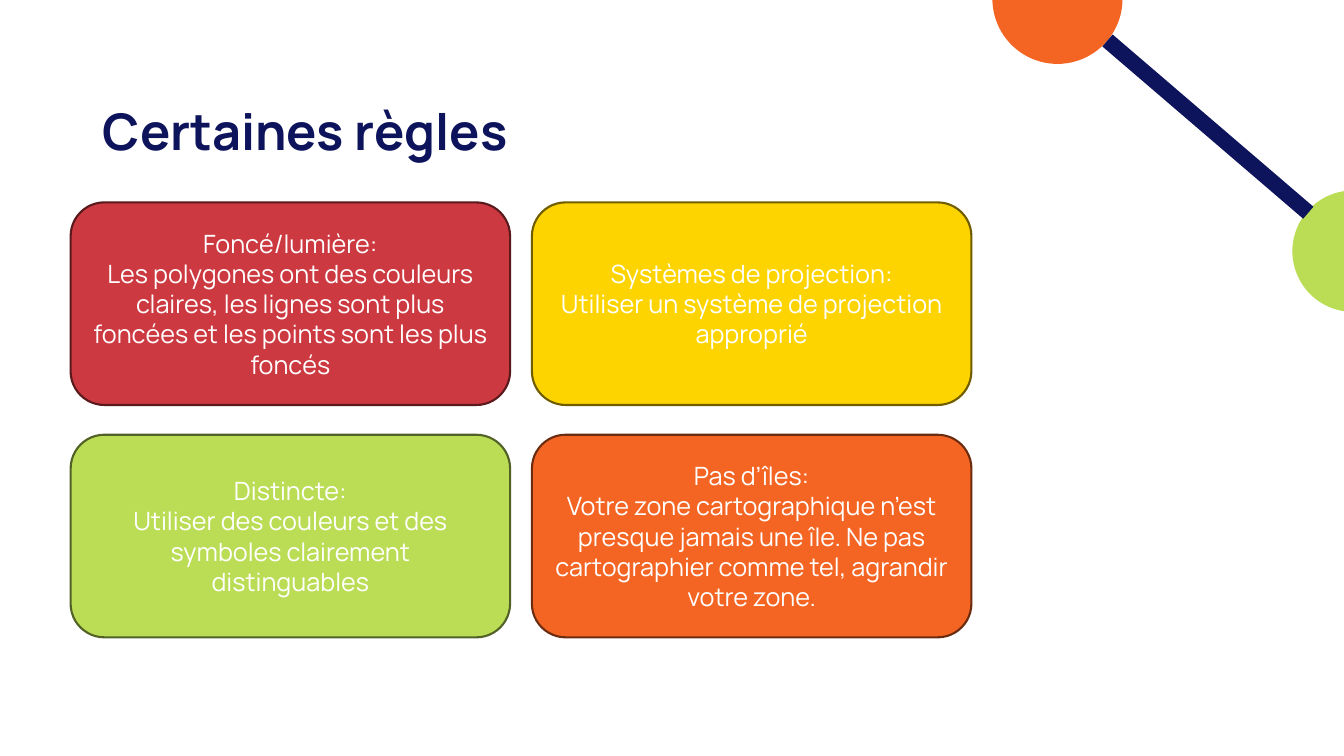
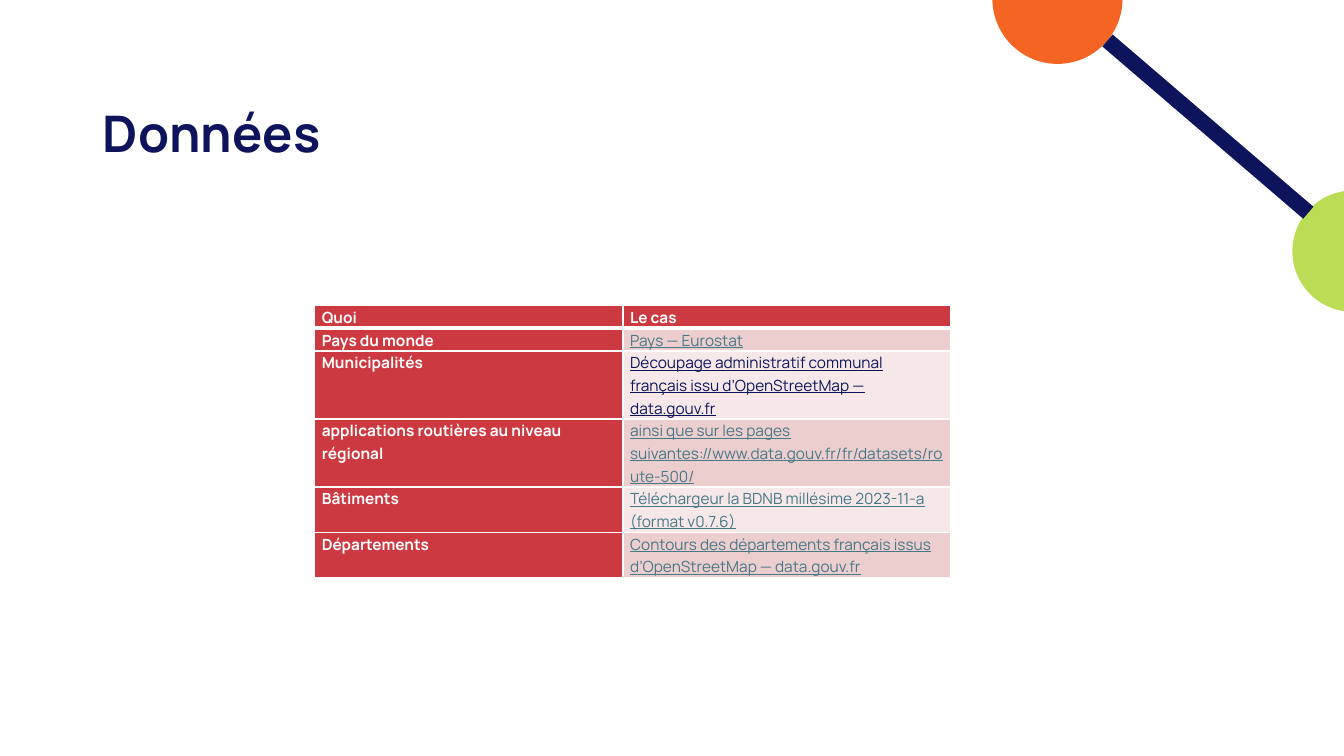
import lxml.etree
import pptx
import pptx.dml.color
import pptx.enum.shapes
import pptx.enum.text
import pptx.oxml.ns
import pptx.util

Cm = pptx.util.Cm
Pt = pptx.util.Pt
RGBColor = pptx.dml.color.RGBColor
MSO_SHAPE = pptx.enum.shapes.MSO_SHAPE
MSO_ANCHOR = pptx.enum.text.MSO_ANCHOR
PP_ALIGN = pptx.enum.text.PP_ALIGN
qn = pptx.oxml.ns.qn

FONT = "Manrope"
WHITE = RGBColor(0xFF, 0xFF, 0xFF)
NAVY = RGBColor(0x0D, 0x14, 0x5C)
RED = RGBColor(0xCD, 0x39, 0x40)
YELLOW = RGBColor(0xFE, 0xD4, 0x00)
GREEN = RGBColor(0xBB, 0xDD, 0x55)
ORANGE = RGBColor(0xF4, 0x65, 0x23)
DARK_RED = RGBColor(0x5A, 0x19, 0x1C)
DARK_YELLOW = RGBColor(0x6F, 0x5D, 0x00)
DARK_GREEN = RGBColor(0x52, 0x61, 0x25)
DARK_ORANGE = RGBColor(0x6B, 0x2C, 0x0F)
LINK_BLUE = RGBColor(0x46, 0x78, 0x86)
PINK = RGBColor(0xED, 0xCE, 0xCF)
PALE_PINK = RGBColor(0xF6, 0xE8, 0xE8)

TITLE_ONLY = 5
TABLE_LINE = Cm(0.56)

RULES = [
    ("Foncé/lumière:",
     "Les polygones ont des couleurs claires, les lignes sont plus foncées "
     "et les points sont les plus foncés", RED, DARK_RED),
    ("Systèmes de projection:",
     "Utiliser un système de projection approprié", YELLOW, DARK_YELLOW),
    ("Distincte:",
     "Utiliser des couleurs et des symboles clairement distinguables",
     GREEN, DARK_GREEN),
    ("Pas d’îles:",
     "Votre zone cartographique n’est presque jamais une île. Ne pas "
     "cartographier comme tel, agrandir votre zone.", ORANGE, DARK_ORANGE),
]

# Topic, source, colour of the source, number of text lines
DATA_ROWS = [
    ("Quoi", "Le cas", WHITE, 1),
    ("Pays du monde", "Pays — Eurostat", LINK_BLUE, 1),
    ("Municipalités",
     "Découpage administratif communal français issu d’OpenStreetMap — "
     "data.gouv.fr", NAVY, 3),
    ("applications routières au niveau régional",
     "ainsi que sur les pages "
     "suivantes://www.data.gouv.fr/fr/datasets/route-500/", LINK_BLUE, 3),
    ("Bâtiments",
     "Téléchargeur la BDNB millésime 2023-11-a (format v0.7.6)", LINK_BLUE, 2),
    ("Départements",
     "Contours des départements français issus d’OpenStreetMap — "
     "data.gouv.fr", LINK_BLUE, 2),
]


def write_text(frame, lines, *, size, color, bold=False, underline=False,
               align=PP_ALIGN.LEFT, anchor=MSO_ANCHOR.MIDDLE,
               line_spacing=1.0, space_after=0):
    frame.word_wrap = True
    frame.vertical_anchor = anchor
    for index, line in enumerate(lines):
        paragraph = frame.add_paragraph() if index else frame.paragraphs[0]
        paragraph.alignment = align
        paragraph.line_spacing = line_spacing
        paragraph.space_after = Pt(space_after)
        run = paragraph.add_run()
        run.text = line
        run.font.name = FONT
        run.font.size = Pt(size)
        run.font.bold = bold
        run.font.underline = underline
        run.font.color.rgb = color


def add_circle(slide, center_x, center_y, radius, fill):
    circle = slide.shapes.add_shape(
        MSO_SHAPE.OVAL, center_x - radius, center_y - radius,
        2 * radius, 2 * radius)
    circle.shadow.inherit = False
    circle.fill.solid()
    circle.fill.fore_color.rgb = fill
    circle.line.fill.background()


def add_corner_network(slide):
    """Draw the two linked circles of the top right corner."""
    add_circle(slide, Cm(34.1), Cm(6.33), Cm(1.53), GREEN)
    add_circle(slide, Cm(26.65), Cm(-0.03), Cm(1.64), ORANGE)
    link = slide.shapes.add_connector(
        pptx.enum.shapes.MSO_CONNECTOR.STRAIGHT,
        Cm(32.97), Cm(5.36), Cm(27.91), Cm(1.02))
    link.line.color.rgb = NAVY
    link.line.width = Pt(11.25)
    lxml.etree.SubElement(link.element.spPr, qn("a:effectLst"))


def add_titled_slide(presentation, text, title_top):
    slide = presentation.slides.add_slide(
        presentation.slide_layouts[TITLE_ONLY])
    add_corner_network(slide)
    title = slide.shapes.title
    title.left, title.top = Cm(2.34), title_top
    title.width, title.height = Cm(25.98), Cm(1.9)
    title.text_frame.auto_size = pptx.enum.text.MSO_AUTO_SIZE.NONE
    write_text(title.text_frame, [text], size=36, color=NAVY, bold=True)
    return slide


def add_rule_card(slide, left, top, width, height, rule):
    heading, advice, fill, outline = rule
    card = slide.shapes.add_shape(
        MSO_SHAPE.ROUNDED_RECTANGLE, left, top, width, height)
    card.shadow.inherit = False
    card.fill.solid()
    card.fill.fore_color.rgb = fill
    card.line.color.rgb = outline
    card.line.width = Pt(1.5)
    write_text(card.text_frame, [heading, advice], size=18, color=WHITE,
               align=PP_ALIGN.CENTER)


def add_rule_grid(slide, left, top, width, height, columns=2):
    gap_x, gap_y = Cm(0.55), Cm(0.75)
    rows = len(RULES) // columns
    card_width = (width - gap_x * (columns - 1)) // columns
    card_height = (height - gap_y * (rows - 1)) // rows
    for index, rule in enumerate(RULES):
        row, column = divmod(index, columns)
        add_rule_card(slide, left + column * (card_width + gap_x),
                      top + row * (card_height + gap_y),
                      card_width, card_height, rule)


def set_cell_borders(cell, top, bottom):
    """Draw white borders; top and bottom are widths in points."""
    properties = cell._tc.get_or_add_tcPr()
    for side, width in (("L", 1), ("R", 1), ("T", top), ("B", bottom)):
        line = lxml.etree.SubElement(
            properties, qn(f"a:ln{side}"), w=str(Pt(width)))
        fill = lxml.etree.SubElement(line, qn("a:solidFill"))
        lxml.etree.SubElement(fill, qn("a:srgbClr"), val=str(WHITE))


def format_cell(cell, text, row, fill, color, bold, underline):
    cell.margin_left = cell.margin_right = Cm(0.18)
    cell.margin_top = cell.margin_bottom = 0
    set_cell_borders(cell, top=3 if row == 1 else 1,
                     bottom=3 if row == 0 else 1)
    cell.fill.solid()
    cell.fill.fore_color.rgb = fill
    write_text(cell.text_frame, [text], size=11, color=color, bold=bold,
               underline=underline, anchor=MSO_ANCHOR.TOP,
               line_spacing=1.07, space_after=8)


def add_data_table(slide, left, top, column_widths):
    height = TABLE_LINE * sum(lines for *_, lines in DATA_ROWS)
    table = slide.shapes.add_table(
        len(DATA_ROWS), len(column_widths), left, top,
        sum(column_widths), height).table
    for column, width in zip(table.columns, column_widths):
        column.width = width
    for row, (topic, source, source_color, lines) in enumerate(DATA_ROWS):
        table.rows[row].height = TABLE_LINE * lines
        is_header = row == 0
        band = RED if is_header else PINK if row % 2 else PALE_PINK
        format_cell(table.cell(row, 0), topic, row, RED, WHITE,
                    bold=True, underline=False)
        format_cell(table.cell(row, 1), source, row, band, source_color,
                    bold=is_header, underline=not is_header)


def build_rules_slide(presentation):
    slide = add_titled_slide(presentation, "Certaines règles", Cm(2.34))
    add_rule_grid(slide, Cm(1.78), Cm(5.1), Cm(22.7), Cm(10.96))


def build_data_slide(presentation):
    slide = add_titled_slide(presentation, "Données", Cm(2.39))
    add_data_table(slide, Cm(7.93), Cm(7.7), [Cm(7.77), Cm(8.25)])


def main():
    presentation = pptx.Presentation()
    presentation.slide_width = Cm(33.87)
    presentation.slide_height = Cm(19.05)
    build_rules_slide(presentation)
    build_data_slide(presentation)
    presentation.save("out.pptx")


if __name__ == "__main__":
    main()
